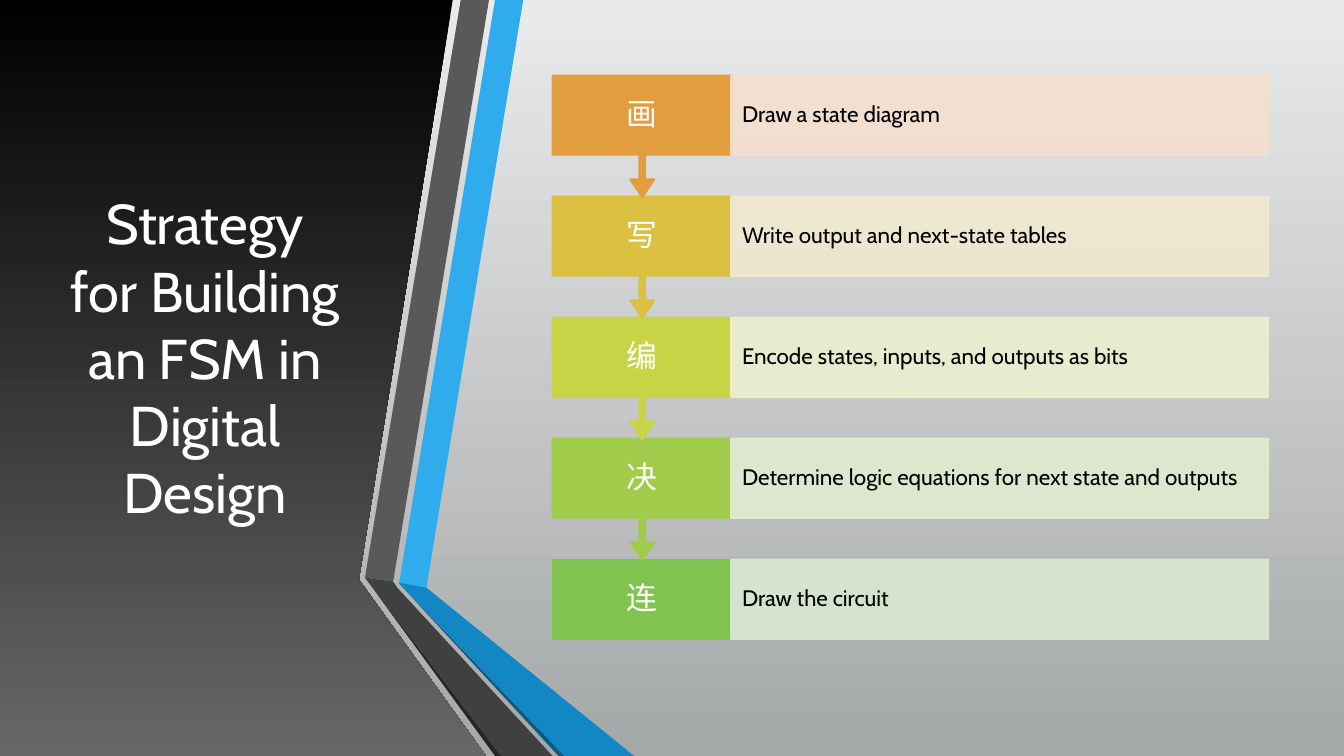
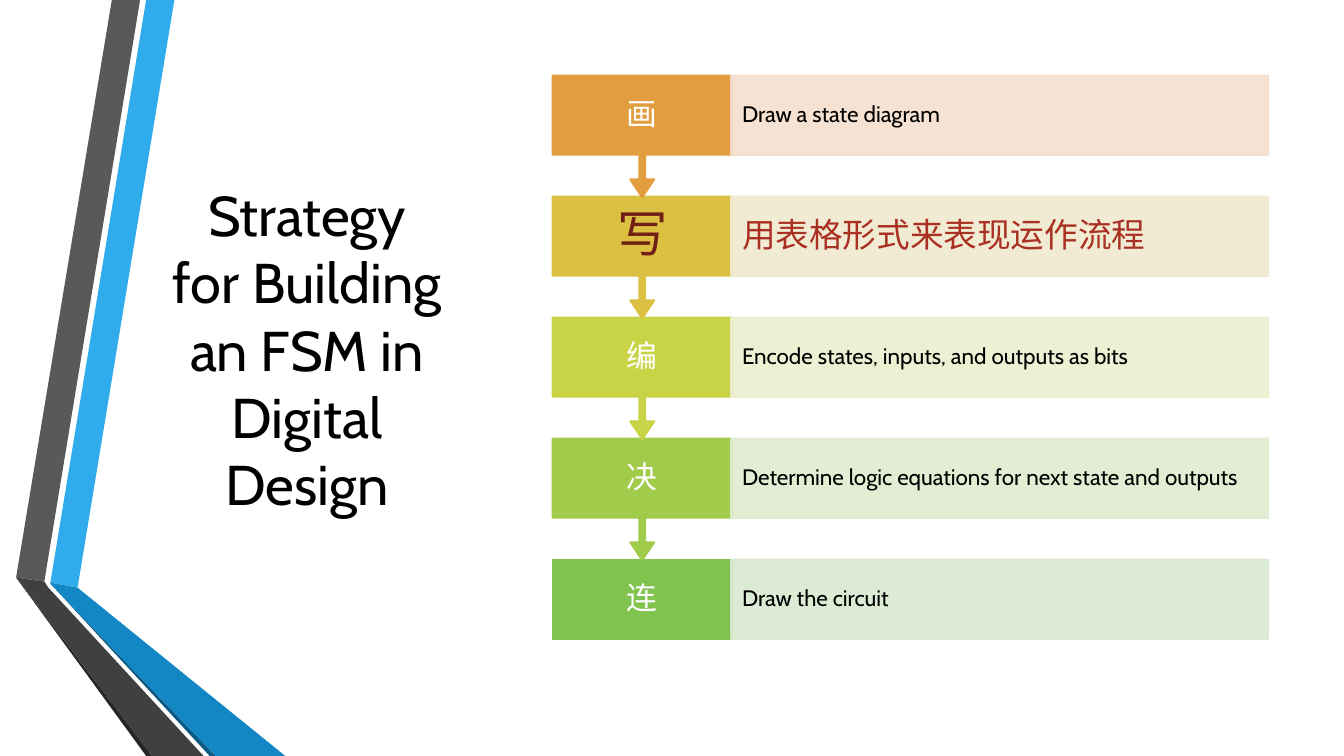
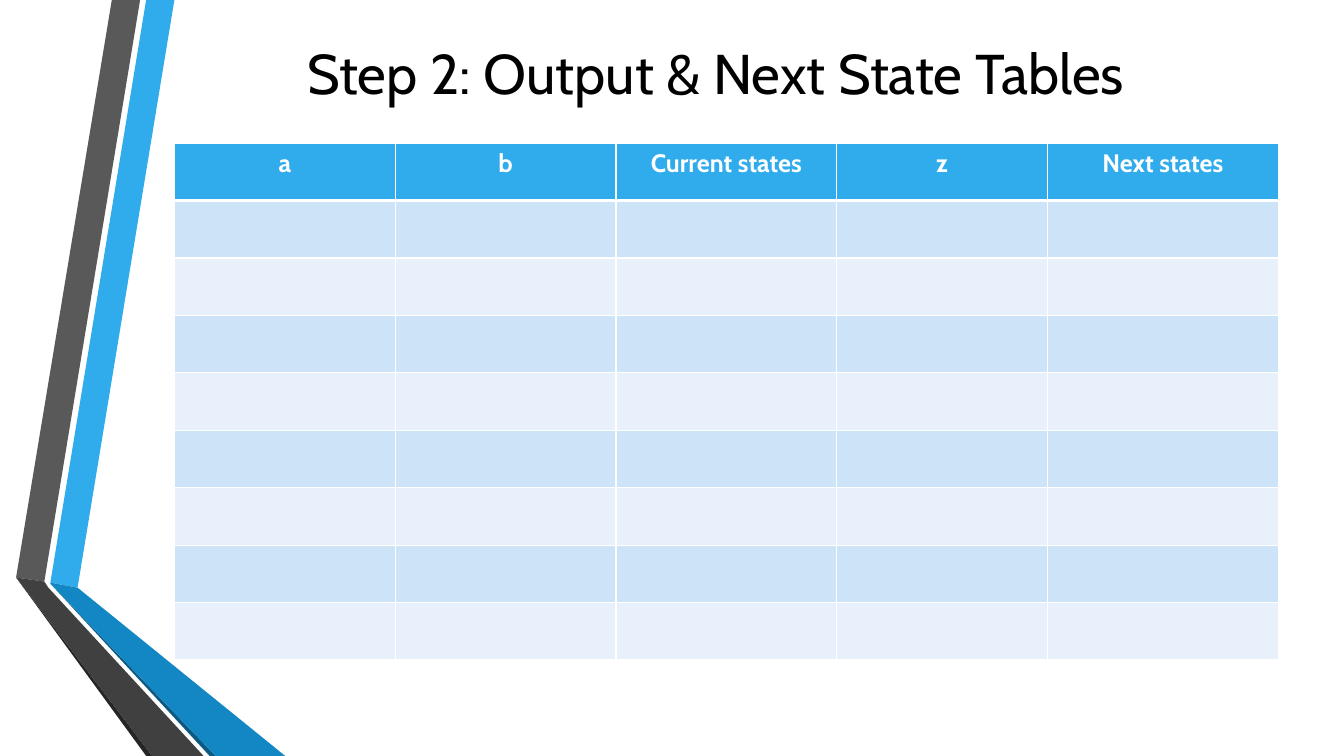
from lxml.etree import SubElement
from pptx import Presentation
from pptx.dml.color import RGBColor
from pptx.enum.shapes import MSO_SHAPE
from pptx.enum.text import MSO_ANCHOR, PP_ALIGN
from pptx.oxml.ns import qn
from pptx.util import Inches, Pt

COLORS = {
    "white": "FFFFFF", "black": "000000",
    "back_top": "E9EAEB", "back_bottom": "A5A8A9", "panel_bottom": "676767",
    "blue": "30ACEC", "blue_fold": "1287C3", "blue_shade": "0C5A82",
    "gray": "595959", "gray_fold": "404040", "gray_shade": "262626",
    "red": "A93023", "dark_red": "712018",
    "band_dark": "CDE3F8", "band_light": "E8F1FB",
}
RIBBONS = [
    ("blue", [(0.5, 5.78), (0.77, 5.83), (1.73, 0), (1.45, 0)]),
    ("gray", [(1.39, 0), (1.11, 0), (0.16, 5.73), (0.44, 5.77)]),
    ("gray_shade", [(0.16, 5.73), (1.45, 7.5), (1.51, 7.5)]),
    ("blue_shade", [(0.5, 5.79), (2.08, 7.5), (2.14, 7.5)]),
    ("blue_fold", [(0.5, 5.79), (2.14, 7.5), (2.83, 7.5), (0.77, 5.83), (0.5, 5.78)]),
    ("gray_fold", [(2.02, 7.5), (0.48, 5.83), (0.44, 5.77), (0.16, 5.73), (1.51, 7.5)]),
]
PANEL = [(0, 0), (4.49, 0), (3.56, 5.75), (4.82, 7.5), (0, 7.5)]
STEPS = [
    ("画", "Draw a state diagram", "E29D3E", "F4DFCE"),
    ("写", "Write output and next-state tables", "DBC042", "F1E9CF"),
    ("编", "Encode states, inputs, and outputs as bits", "C8D346", "EDEFCF"),
    ("决", "Determine logic equations for next state and outputs", "A1CB4A", "E1ECD0"),
    ("连", "Draw the circuit", "80C34F", "D8E9D0"),
]
STRATEGY = "Strategy for Building an FSM in Digital Design"


class Deck:
    font = "Cabin"

    def __init__(self):
        self.prs = Presentation()
        self.prs.slide_width, self.prs.slide_height = Inches(13.33), Inches(7.5)
        self.s = None

    def add_slide(self):
        self.s = self.prs.slides.add_slide(self.prs.slide_layouts[6])

    def color(self, name):
        return RGBColor.from_string(COLORS.get(name, name))

    def gradient(self, fill, top, bottom):
        fill.gradient()
        fill.gradient_angle = 270
        for stop, name, position in zip(fill.gradient_stops, (top, bottom), (0, 1)):
            stop.color.rgb = self.color(name)
            stop.position = position

    def background(self, top, bottom):
        self.gradient(self.s.background.fill, top, bottom)

    def outline(self, points, dx=0):
        (x, y), *rest = [(Inches(px + dx), Inches(py)) for px, py in points]
        builder = self.s.shapes.build_freeform(x, y)
        builder.add_line_segments(rest, close=True)
        sp = builder.convert_to_shape()
        sp.shadow.inherit = False
        sp.line.fill.background()
        return sp

    def panel(self):
        self.gradient(self.outline(PANEL).fill, "black", "panel_bottom")

    def ribbons(self, dx=0):
        for name, points in RIBBONS:
            sp = self.outline(points, dx)
            sp.fill.solid()
            sp.fill.fore_color.rgb = self.color(name)

    def text(self, tf, text, size, color, align=PP_ALIGN.CENTER, bold=False):
        tf.word_wrap = True
        tf.vertical_anchor = MSO_ANCHOR.MIDDLE
        p = tf.paragraphs[0]
        p.text = text
        p.alignment = align
        p.font.name, p.font.size, p.font.bold = self.font, Pt(size), bold
        p.font.color.rgb = self.color(color)
        return p

    def title(self, text, x, y, w, h, color="black"):
        box = self.s.shapes.add_textbox(Inches(x), Inches(y), Inches(w), Inches(h))
        self.text(box.text_frame, text, 40, color)

    def box(self, kind, x, y, w, h, fill, margin, alpha=None):
        sp = self.s.shapes.add_shape(kind, Inches(x), Inches(y), Inches(w), Inches(h))
        sp.shadow.inherit = False
        sp.fill.solid()
        sp.fill.fore_color.rgb = sp.line.color.rgb = self.color(fill)
        sp.line.width = Pt(1.25)
        if alpha:
            for clr in sp._element.spPr.iter(qn("a:srgbClr")):
                SubElement(clr, qn("a:alpha"), val=str(alpha * 1000))
        tf = sp.text_frame
        tf.margin_left = tf.margin_right = Inches(margin)
        tf.margin_top = tf.margin_bottom = 0
        return sp

    def steps(self, steps, active=None):
        top, pitch, height = 0.75, 1.2, 0.79
        for i, (sign, label, fill, tint) in reversed(list(enumerate(steps))):
            y = top + i * pitch
            if i == len(steps) - 1:
                head = self.box(MSO_SHAPE.RECTANGLE, 5.48, y, 1.78, height, fill, 0.13)
            else:
                head = self.box(MSO_SHAPE.DOWN_ARROW_CALLOUT, 5.48, y, 1.78, 1.21, fill, 0.13)
                for k, value in enumerate((0.05, 0.1, 0.15, 0.65)):
                    head.adjustments[k] = value
            bar = self.box(MSO_SHAPE.RECTANGLE, 7.25, y, 5.33, height, tint, 0.11, alpha=90)
            head_style = (36, "dark_red") if i == active else (22, "white")
            bar_style = (24, "red") if i == active else (16, "black")
            self.text(head.text_frame, sign, *head_style).line_spacing = 0.9
            self.text(bar.text_frame, label, *bar_style, PP_ALIGN.LEFT).line_spacing = 0.9

    def borders(self, cell, bottom):
        tcPr = cell._tc.get_or_add_tcPr()
        for side, width in (("L", 1), ("R", 1), ("T", 1), ("B", bottom)):
            ln = SubElement(tcPr, qn(f"a:ln{side}"), w=str(Pt(width)))
            fill = SubElement(ln, qn("a:solidFill"))
            SubElement(fill, qn("a:srgbClr"), val=COLORS["white"])

    def table(self, headers, widths, x, y, rows, row_height):
        frame = self.s.shapes.add_table(rows, len(headers), Inches(x), Inches(y),
                                        Inches(sum(widths)), Inches(rows * row_height))
        table = frame.table
        for column, width in zip(table.columns, widths):
            column.width = Inches(width)
        for i, row in enumerate(table.rows):
            row.height = Inches(row_height)
            band = "blue" if i == 0 else ("band_light", "band_dark")[i % 2]
            for cell, header in zip(row.cells, headers):
                self.borders(cell, 3 if i == 0 else 1)
                cell.fill.solid()
                cell.fill.fore_color.rgb = self.color(band)
                if i == 0:
                    self.text(cell.text_frame, header, 18, "white", bold=True)
                    cell.vertical_anchor = MSO_ANCHOR.TOP


def main():
    deck = Deck()

    deck.add_slide()
    deck.background("back_top", "back_bottom")
    deck.panel()
    deck.title(STRATEGY, 0.59, 0.75, 2.89, 5.58, "white")
    deck.ribbons(dx=3.46)
    deck.steps(STEPS)

    deck.add_slide()
    deck.ribbons()
    deck.title(STRATEGY, 1.6, 0.67, 2.89, 5.58)
    sign, _, fill, tint = STEPS[1]
    tables_step = (sign, "用表格形式来表现运作流程", fill, tint)
    deck.steps([STEPS[0], tables_step, *STEPS[2:]], active=1)

    deck.add_slide()
    deck.ribbons()
    deck.title("Step 2: Output & Next State Tables", 1.62, 0.26, 10.96, 0.91)
    deck.table(["a", "b", "Current states", "z", "Next states"],
               [2.19, 2.19, 2.19, 2.09, 2.29], 1.73, 1.42, 9, 0.57)

    deck.prs.save("out.pptx")


if __name__ == "__main__":
    main()
